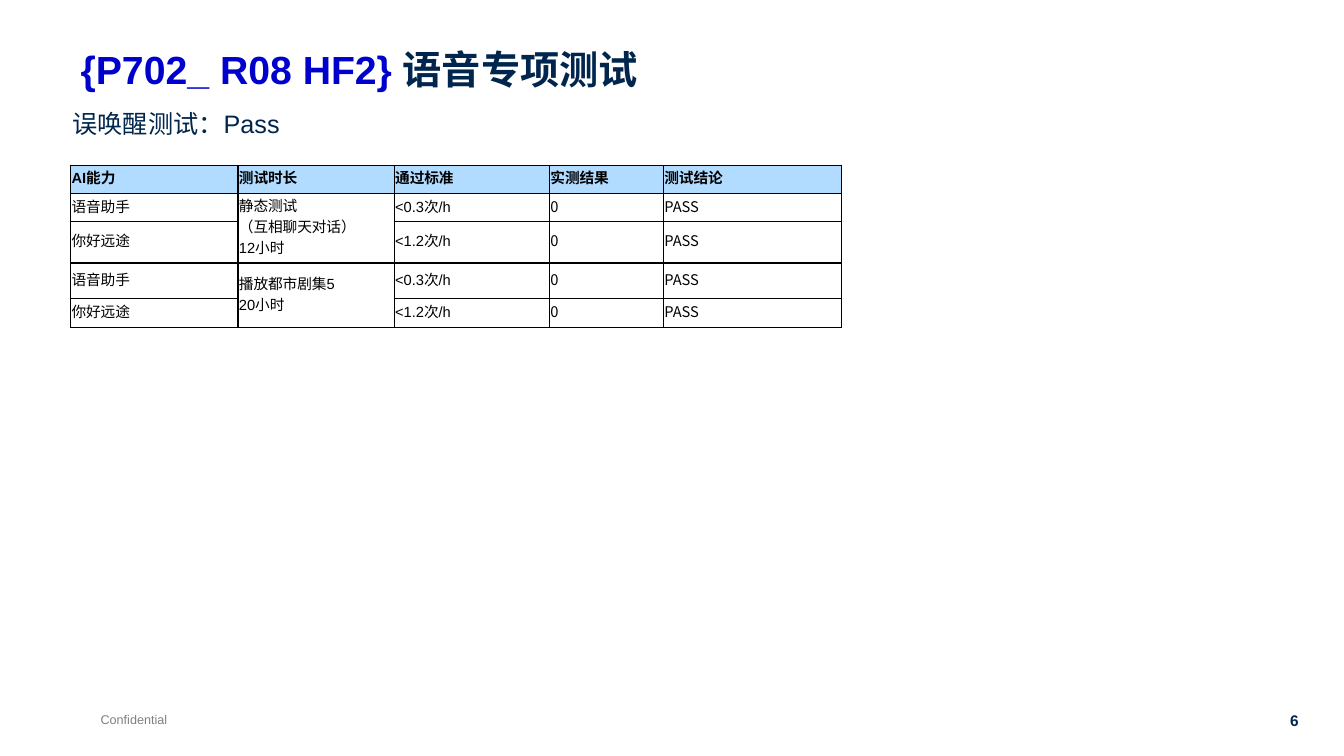
import pptx
import pptx.util
import pptx.dml.color
import pptx.enum.text
import pptx.oxml
import pptx.oxml.ns
from dataclasses import dataclass


@dataclass(frozen=True)
class Theme:
    latin: str = "Arial"
    asian: str = "Noto Sans CJK SC"
    navy: str = "00264E"
    blue: str = "0000CC"
    gray: str = "808080"
    black: str = "000000"
    header: str = "B2DCFF"
    title: float = 28
    subtitle: float = 18
    cell: float = 10.5
    number: float = 11
    footer: float = 9


theme = Theme()
Inches = pptx.util.Inches
Anchor = pptx.enum.text.MSO_ANCHOR
Align = pptx.enum.text.PP_ALIGN


def write(para, text, size, color, bold=False, font=theme.latin, align=None):
    para.alignment = align
    span = para.add_run()
    span.text = text
    span.font.size = pptx.util.Pt(size)
    span.font.bold = bold
    span.font.name = font
    span.font.color.rgb = pptx.dml.color.RGBColor.from_string(color)
    asian = pptx.oxml.parse_xml(
        f'<a:ea {pptx.oxml.ns.nsdecls("a")} typeface="{theme.asian}"/>')
    span.font._element.find(pptx.oxml.ns.qn("a:latin")).addnext(asian)


deck = pptx.Presentation()
deck.slide_width = Inches(13.33)
deck.slide_height = Inches(7.5)
page = deck.slides.add_slide(deck.slide_layouts[5])

title = page.shapes.title
title.left, title.top, title.width, title.height = map(Inches, (0.7, 0.4, 11.85, 0.63))
title.text_frame.auto_size = pptx.enum.text.MSO_AUTO_SIZE.NONE
title.text_frame.vertical_anchor = Anchor.MIDDLE
heading = title.text_frame.paragraphs[0]
heading.line_spacing = 0.9
write(heading, "{P702_ R08 HF2} ", theme.title, theme.blue, bold=True, align=Align.LEFT)
write(heading, "语音专项测试", theme.title, theme.navy, bold=True, align=Align.LEFT)

labels = [
    ((0.62, 1.03, 4.32, 0.71), True, "误唤醒测试：Pass",
     dict(size=theme.subtitle, color=theme.navy)),
    ((0.9, 7.01, 0.87, 0.25), False, "Confidential",
     dict(size=theme.footer, color=theme.gray)),
    ((12.59, 7.01, 0.39, 0.29), False, "6",
     dict(size=theme.number, color=theme.navy, bold=True, align=Align.RIGHT)),
]
for place, wrap, text, style in labels:
    box = page.shapes.add_textbox(*map(Inches, place))
    box.text_frame.word_wrap = wrap
    write(box.text_frame.paragraphs[0], text, **style)

columns = [1.66, 1.55, 1.54, 1.13, 1.77]
rows = [0.28, 0.28, 0.41, 0.35, 0.29]
results = [
    ["AI能力", "测试时长", "通过标准", "实测结果", "测试结论"],
    ["语音助手", "静态测试\n（互相聊天对话）\n12小时", "<0.3次/h", "0", "PASS"],
    ["你好远途", "", "<1.2次/h", "0", "PASS"],
    ["语音助手", "播放都市剧集5\n20小时", "<0.3次/h", "0", "PASS"],
    ["你好远途", "", "<1.2次/h", "0", "PASS"],
]
table = page.shapes.add_table(
    len(rows), len(columns), Inches(0.7), Inches(1.64),
    Inches(sum(columns)), Inches(sum(rows))).table
table.first_row = table.horz_banding = False
for column, width in zip(table.columns, columns):
    column.width = Inches(width)
for row, height in zip(table.rows, rows):
    row.height = Inches(height)
for top in (1, 3):
    table.cell(top, 1).merge(table.cell(top + 1, 1))

for r, values in enumerate(results):
    for c, value in enumerate(values):
        cell = table.cell(r, c)
        cell.vertical_anchor = Anchor.MIDDLE
        cell.margin_left = cell.margin_right = cell.margin_top = Inches(0.01)
        cell.margin_bottom = Inches(0.05)
        for side in "LRTB":
            cell._tc.get_or_add_tcPr().append(pptx.oxml.parse_xml(
                f'<a:ln{side} {pptx.oxml.ns.nsdecls("a")} w="12700"><a:solidFill>'
                f'<a:srgbClr val="{theme.black}"/></a:solidFill></a:ln{side}>'))
        if r == 0:
            cell.fill.solid()
            cell.fill.fore_color.rgb = pptx.dml.color.RGBColor.from_string(theme.header)
        else:
            cell.fill.background()
        if cell.is_spanned:
            continue
        frame = cell.text_frame
        font = theme.asian if r > 0 and c > 2 else theme.latin
        for n, line in enumerate(value.split("\n")):
            para = frame.add_paragraph() if n else frame.paragraphs[0]
            write(para, line, theme.cell, theme.black, bold=r == 0, font=font)

deck.save("out.pptx")
